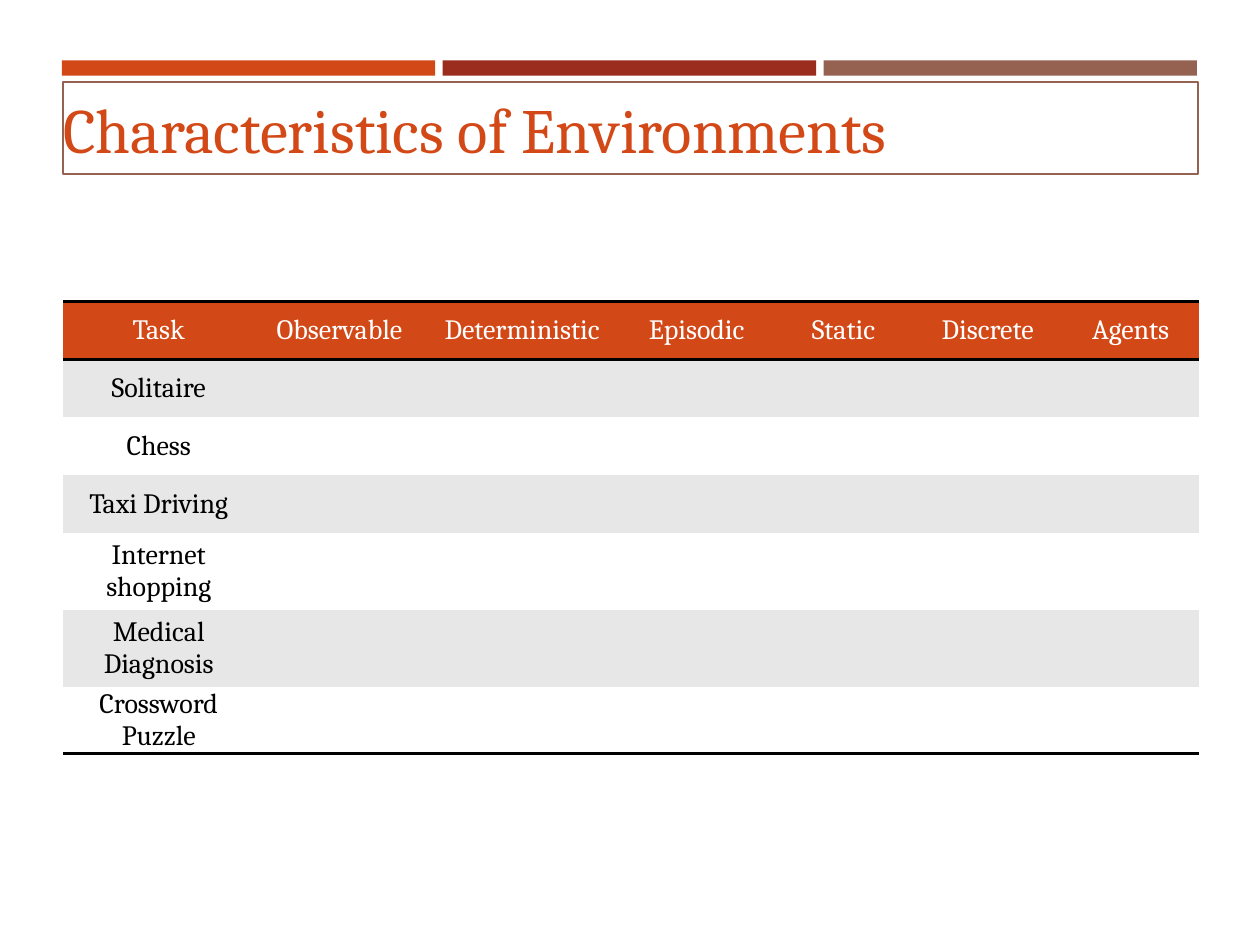
from dataclasses import dataclass

from lxml import etree
from pptx import Presentation
from pptx.dml.color import RGBColor as Rgb
from pptx.enum.shapes import MSO_SHAPE as Shape
from pptx.enum.text import MSO_ANCHOR as Anchor, MSO_AUTO_SIZE as AutoSize, PP_ALIGN as Align
from pptx.oxml.ns import qn
from pptx.util import Inches, Pt


@dataclass(frozen=True)
class Theme:
    """Hold the colours and type sizes of the slide."""
    orange: Rgb = Rgb.from_string("D34817")
    red: Rgb = Rgb.from_string("9B2D1F")
    brown: Rgb = Rgb.from_string("956251")
    band: Rgb = Rgb.from_string("E7E7E7")
    white: Rgb = Rgb.from_string("FFFFFF")
    black: Rgb = Rgb.from_string("000000")
    font: str = "Cambria"
    title_size: Pt = Pt(36)
    table_size: Pt = Pt(16)
    rule: Pt = Pt(2)


THEME = Theme()
PLAIN_TABLE = "{2D5ABB26-0587-4C30-8999-92F81FD0307C}"
HEADINGS = ["Task", "Observable", "Deterministic", "Episodic", "Static", "Discrete", "Agents"]
COLUMN_WIDTHS = [1.52, 1.35, 1.55, 1.22, 1.11, 1.18, 1.09]
TASKS = ["Solitaire", "Chess", "Taxi Driving", "Internet shopping", "Medical Diagnosis",
         "Crossword Puzzle"]
ROW_HEIGHTS = [0.46, 0.46, 0.46, 0.46, 0.61, 0.61, 0.46]


def add_text(paragraph, text, size, color, align):
    """Add one formatted run to a paragraph."""
    paragraph.alignment = align
    run = paragraph.add_run()
    run.text = text
    run.font.name, run.font.size = THEME.font, size
    run.font.color.rgb = color


def clear_margins(holder):
    """Set all four text margins to zero."""
    holder.margin_left = holder.margin_right = holder.margin_top = holder.margin_bottom = 0


def add_accent_bars(slide, left, top, width, height):
    """Split the box into three coloured bars with equal gaps."""
    gap = 0.06
    bar_width = (width - 2 * gap) / 3
    for index, color in enumerate([THEME.orange, THEME.red, THEME.brown]):
        bar = slide.shapes.add_shape(
            Shape.RECTANGLE, Inches(left + index * (bar_width + gap)), Inches(top),
            Inches(bar_width), Inches(height))
        bar.shadow.inherit = False
        bar.fill.solid()
        bar.fill.fore_color.rgb = color
        bar.line.fill.background()


def place_title(slide, left, top, width, height):
    """Move the title placeholder into the box and outline it."""
    title = slide.shapes.title
    title.left, title.top = Inches(left), Inches(top)
    title.width, title.height = Inches(width), Inches(height)
    title.line.color.rgb = THEME.brown
    title.line.width = Pt(1)
    frame = title.text_frame
    clear_margins(frame)
    frame.word_wrap = True
    frame.auto_size = AutoSize.SHAPE_TO_FIT_TEXT
    frame.vertical_anchor = Anchor.MIDDLE
    add_text(frame.paragraphs[0], "Characteristics of Environments", THEME.title_size,
             THEME.orange, Align.LEFT)


def add_rule(cell, side):
    """Draw a black border on one side of a cell."""
    border = etree.SubElement(cell._tc.get_or_add_tcPr(), qn(f"a:{side}"), w=str(THEME.rule))
    fill = etree.SubElement(border, qn("a:solidFill"))
    etree.SubElement(fill, qn("a:srgbClr"), val=str(THEME.black))


def add_environment_table(slide, left, top, width, height):
    """Place the table of tasks and environment characteristics."""
    table = slide.shapes.add_table(len(TASKS) + 1, len(HEADINGS), Inches(left), Inches(top),
                                   Inches(width), Inches(height)).table
    table._tbl.tblPr.find(qn("a:tableStyleId")).text = PLAIN_TABLE
    for column, column_width in zip(table.columns, COLUMN_WIDTHS):
        column.width = Inches(column_width)
    for row, row_height in zip(table.rows, ROW_HEIGHTS):
        row.height = Inches(row_height)

    rows = [HEADINGS] + [[task] + [""] * (len(HEADINGS) - 1) for task in TASKS]
    for row_index, labels in enumerate(rows):
        is_header = row_index == 0
        shade = THEME.orange if is_header else THEME.band if row_index % 2 else THEME.white
        sides = ["lnT", "lnB"] if is_header else ["lnB"] if row_index == len(TASKS) else []
        for column_index, label in enumerate(labels):
            cell = table.cell(row_index, column_index)
            for side in sides:
                add_rule(cell, side)
            cell.fill.solid()
            cell.fill.fore_color.rgb = shade
            if label:
                clear_margins(cell)
                cell.vertical_anchor = Anchor.MIDDLE
                add_text(cell.text_frame.paragraphs[0], label, THEME.table_size,
                         THEME.white if is_header else THEME.black, Align.CENTER)


def main():
    """Build and save the slide."""
    deck = Presentation()
    deck.slide_width, deck.slide_height = Inches(10), Inches(7.5)
    slide = deck.slides.add_slide(deck.slide_layouts[5])
    add_accent_bars(slide, 0.49, 0.48, 9.01, 0.12)
    place_title(slide, 0.5, 0.71, 9.01, 0.61)
    add_environment_table(slide, 0.5, 2.39, 9.01, 3.61)
    deck.save("out.pptx")


if __name__ == "__main__":
    main()
